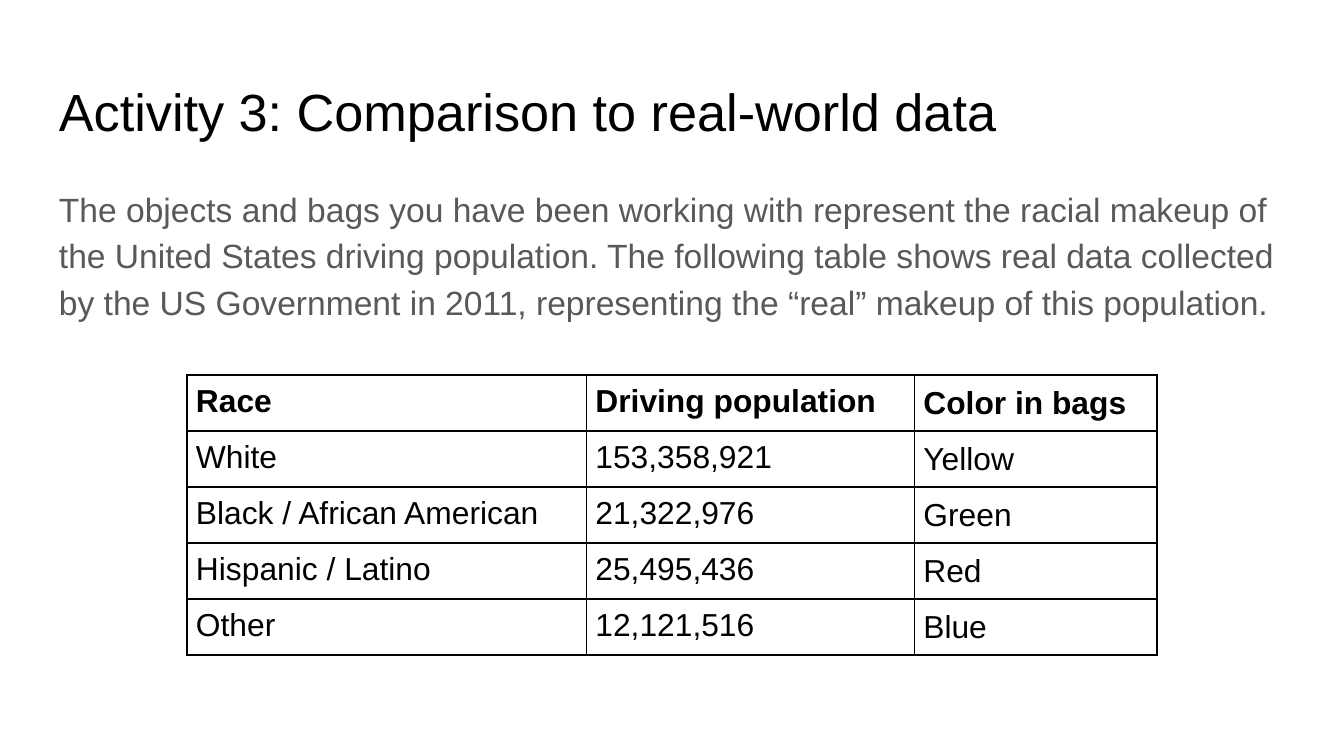
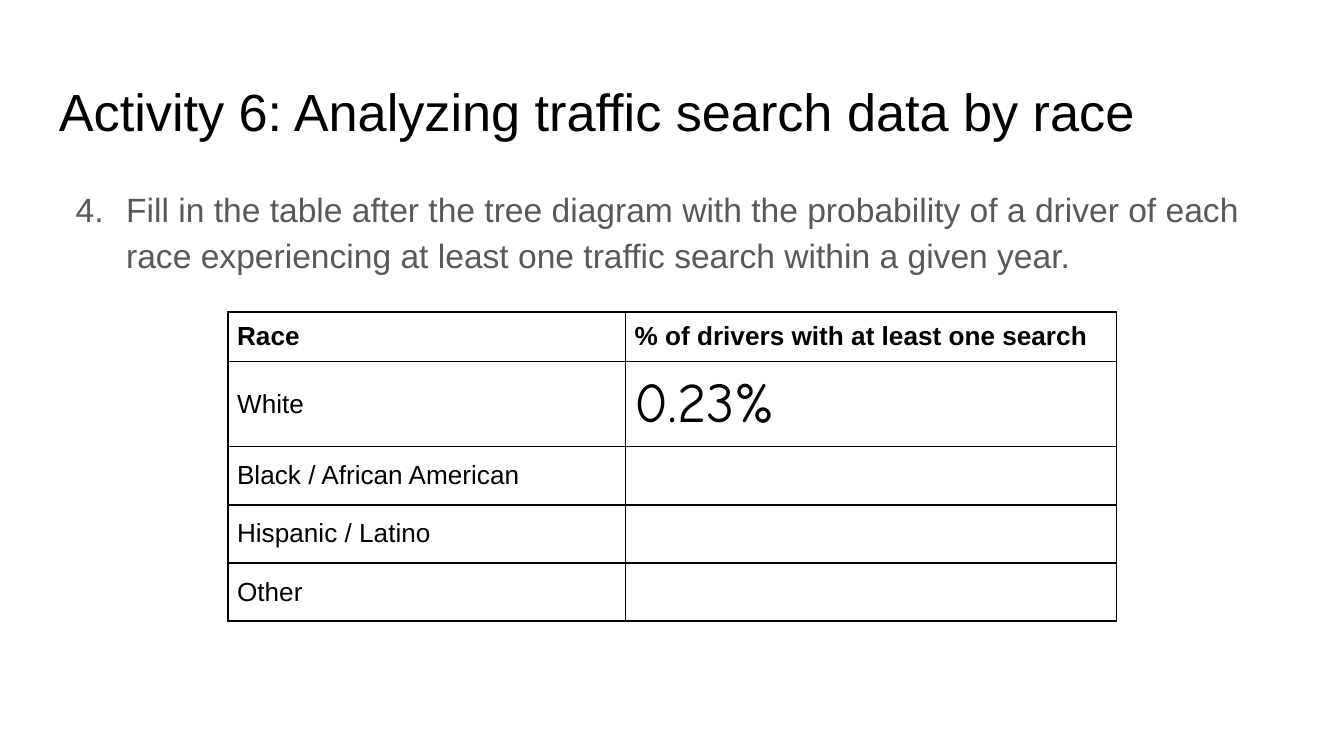
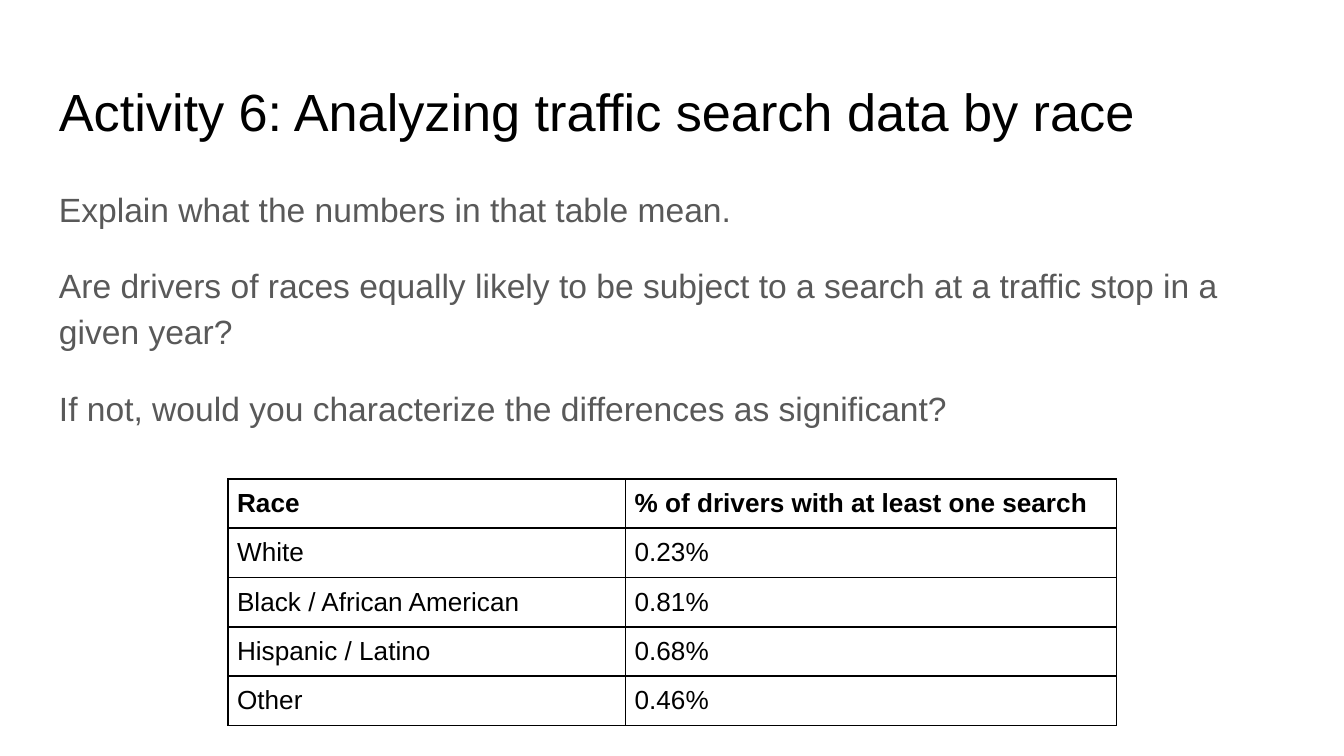
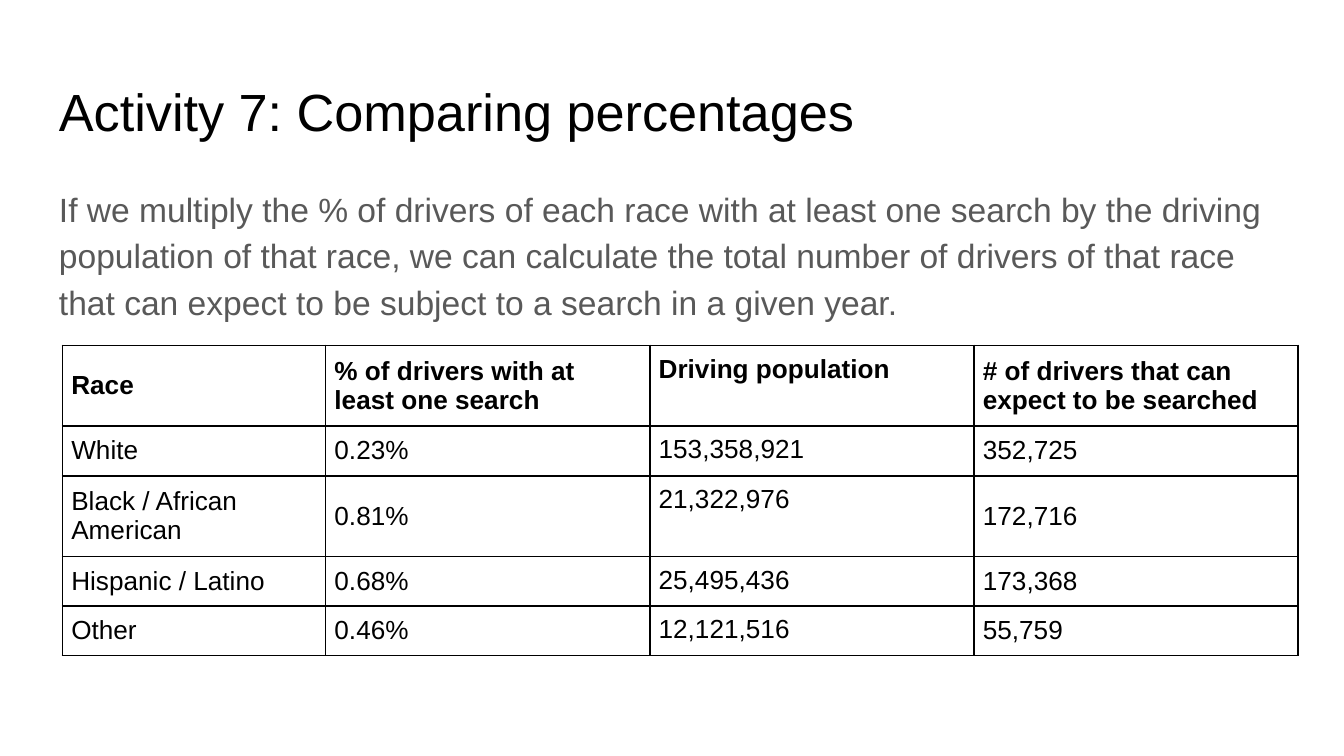
from pptx import Presentation as Deck
from pptx.dml.color import RGBColor as Rgb
from pptx.enum.text import MSO_ANCHOR as Anchor
from pptx.util import Pt
from lxml.etree import SubElement as Sub
from pptx.oxml.ns import qn

HUES = {"ink": "000000", "body": "595959", "page": "FFFFFF"}
RACES = ["White", "Black / African American", "Hispanic / Latino", "Other"]
DRIVERS = ["153,358,921", "21,322,976", "25,495,436", "12,121,516"]
RATES = ["0.23%", "0.81%", "0.68%", "0.46%"]
RATE_HEAD = "% of drivers with at least one search"
SEARCH = "Activity 6: Analyzing traffic search data by race"


def apply(item, form):
    for key, value in form.items():
        setattr(item, key, value)


class Board:
    title_font = {"name": "Arial", "size": Pt(28)}
    body_font = {"name": "Arial", "size": Pt(18)}
    body_para = {"line_spacing": 1.15}
    hand_font = {"name": "Comic Neue", "size": Pt(30)}
    box_pad = 7.2
    cell_pad = 4.8
    left, width = 24.5, 671

    def __init__(self):
        self.deck = Deck()
        apply(self.deck, {"slide_width": Pt(720), "slide_height": Pt(405)})

    def start(self, title):
        self.slide = self.deck.slides.add_slide(self.deck.slide_layouts[6])
        fill = self.slide.background.fill
        fill.solid()
        fill.fore_color.rgb = Rgb.from_string(HUES["page"])
        self.text([title], 35, 45.4, self.title_font, "ink", {})

    def pad(self, item, size):
        apply(item, {f"margin_{side}": Pt(size) for side in ("left", "top", "right", "bottom")})

    def run(self, para, words, font, hue):
        run = para.add_run()
        run.text = words
        apply(run.font, font)
        run.font.color.rgb = Rgb.from_string(HUES[hue])

    def text(self, lines, top, height, font, hue, form, gap=0):
        box = self.slide.shapes.add_textbox(Pt(self.left), Pt(top), Pt(self.width), Pt(height))
        frame = box.text_frame
        frame.word_wrap = True
        self.pad(frame, self.box_pad)
        for i, words in enumerate(lines):
            para = frame.add_paragraph() if i else frame.paragraphs[0]
            apply(para, form)
            if i:
                para.space_before = Pt(gap)
            self.run(para, words, font, hue)
        return frame

    def body(self, *lines, height=269.3):
        return self.text(lines, 90.75, height, self.body_font, "body", self.body_para, 16)

    def number(self, frame, first):
        for para in frame.paragraphs:
            props = para._p.get_or_add_pPr()
            props.set("marL", str(Pt(36)))
            props.set("indent", str(Pt(-27)))
            tint = Sub(props, qn("a:buClr"))
            Sub(tint, qn("a:srgbClr"), val=HUES["body"])
            Sub(props, qn("a:buFont"), typeface="Arial")
            Sub(props, qn("a:buAutoNum"), type="arabicPeriod", startAt=str(first))

    def border(self, cell):
        props = cell._tc.get_or_add_tcPr()
        for side in "LRTB":
            line = Sub(props, qn(f"a:ln{side}"), w=str(Pt(1)))
            fill = Sub(line, qn("a:solidFill"))
            Sub(fill, qn("a:srgbClr"), val=HUES["ink"])

    def table(self, heads, cols, left, top, widths, heights, size=14, high=(), hand=()):
        rows = [heads, *zip(*cols)]
        grid = self.slide.shapes.add_table(
            len(rows), len(heads), Pt(left), Pt(top), Pt(sum(widths)), Pt(sum(heights))).table
        apply(grid, {"first_row": False, "horz_banding": False})
        for col, wide in zip(grid.columns, widths):
            col.width = Pt(wide)
        for row, tall in zip(grid.rows, heights):
            row.height = Pt(tall)
        for r, row in enumerate(rows):
            for c, words in enumerate(row):
                cell = grid.cell(r, c)
                self.border(cell)
                cell.fill.background()
                self.pad(cell, self.cell_pad)
                cell.vertical_anchor = Anchor.TOP if c in high else Anchor.MIDDLE
                if words:
                    font = {"name": "Arial", "size": Pt(size), "bold": r == 0}
                    if (r, c) in hand:
                        font.update(self.hand_font)
                    self.run(cell.text_frame.paragraphs[0], words, font, "ink")

    def rates(self, cells, top, heights, hand=()):
        self.table(["Race", RATE_HEAD], [RACES, cells], 122.2, top, [213, 263], heights, hand=hand)


board = Board()

board.start("Activity 3: Comparison to real-world data")
board.body(
    "The objects and bags you have been working with represent the racial makeup of the "
    "United States driving population. The following table shows real data collected by the "
    "US Government in 2011, representing the “real” makeup of this population.", height=93)
board.table(
    ["Race", "Driving population", "Color in bags"],
    [RACES, DRIVERS, ["Yellow", "Green", "Red", "Blue"]],
    100.2, 200.9, [214, 175.7, 130], [29.1] * 5, size=17, high=(0, 1))

board.start(SEARCH)
steps = board.body(
    "Fill in the table after the tree diagram with the probability of a driver of each race "
    "experiencing at least one traffic search within a given year.")
board.number(steps, 4)
board.rates([RATES[0], "", "", ""], 167.2, [25.7, 44.5] + [30.2] * 3, hand=[(1, 1)])

board.start(SEARCH)
board.body(
    "Explain what the numbers in that table mean.",
    "Are drivers of races equally likely to be subject to a search at a traffic stop in a given year?",
    "If not, would you characterize the differences as significant?")
board.rates(RATES, 256.5, [25.7] * 5)

board.start("Activity 7: Comparing percentages")
board.body(
    "If we multiply the % of drivers of each race with at least one search by the driving "
    "population of that race, we can calculate the total number of drivers of that race that "
    "can expect to be subject to a search in a given year.")
board.table(
    ["Race", RATE_HEAD, "Driving population", "# of drivers that can expect to be searched"],
    [RACES, RATES, DRIVERS, ["352,725", "172,716", "173,368", "55,759"]],
    33.4, 185, [141] + [173.7] * 3, [41.6, 26.7, 41.6, 25.7, 26.7], high=(2,))

board.deck.save("out.pptx")
